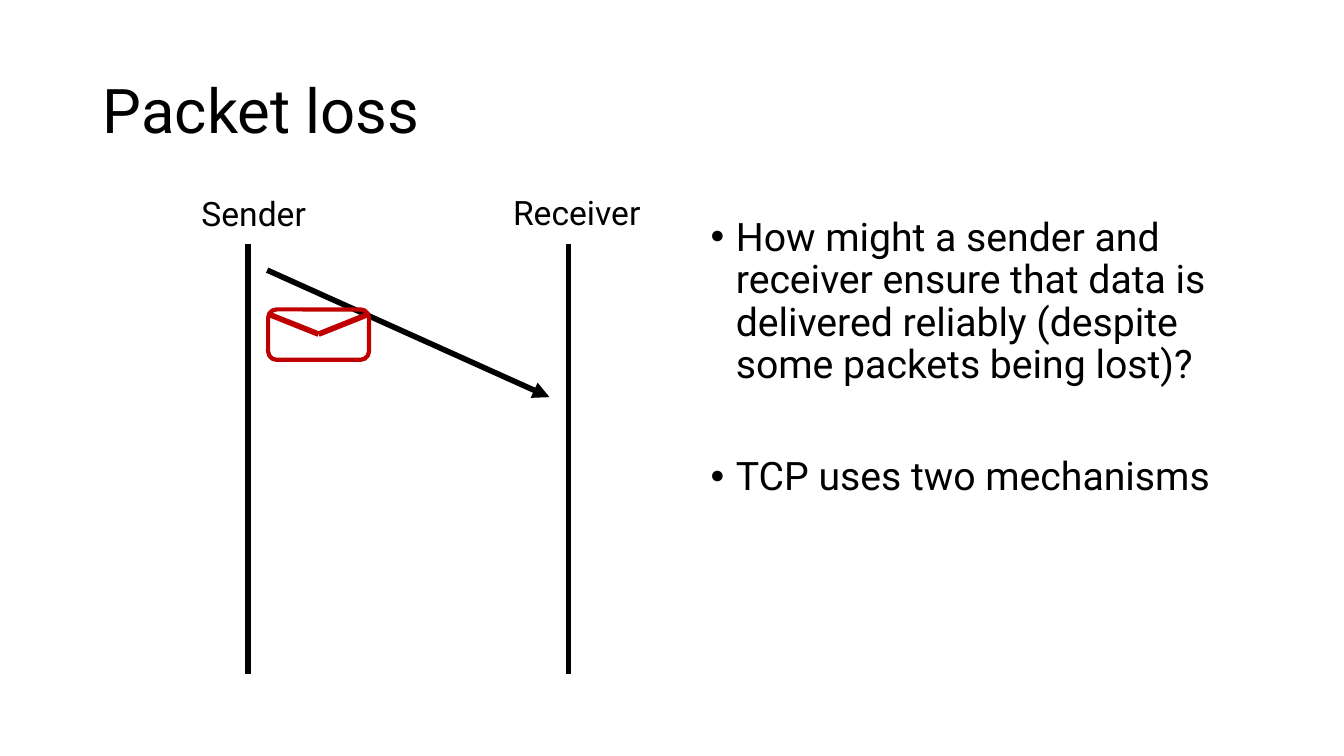
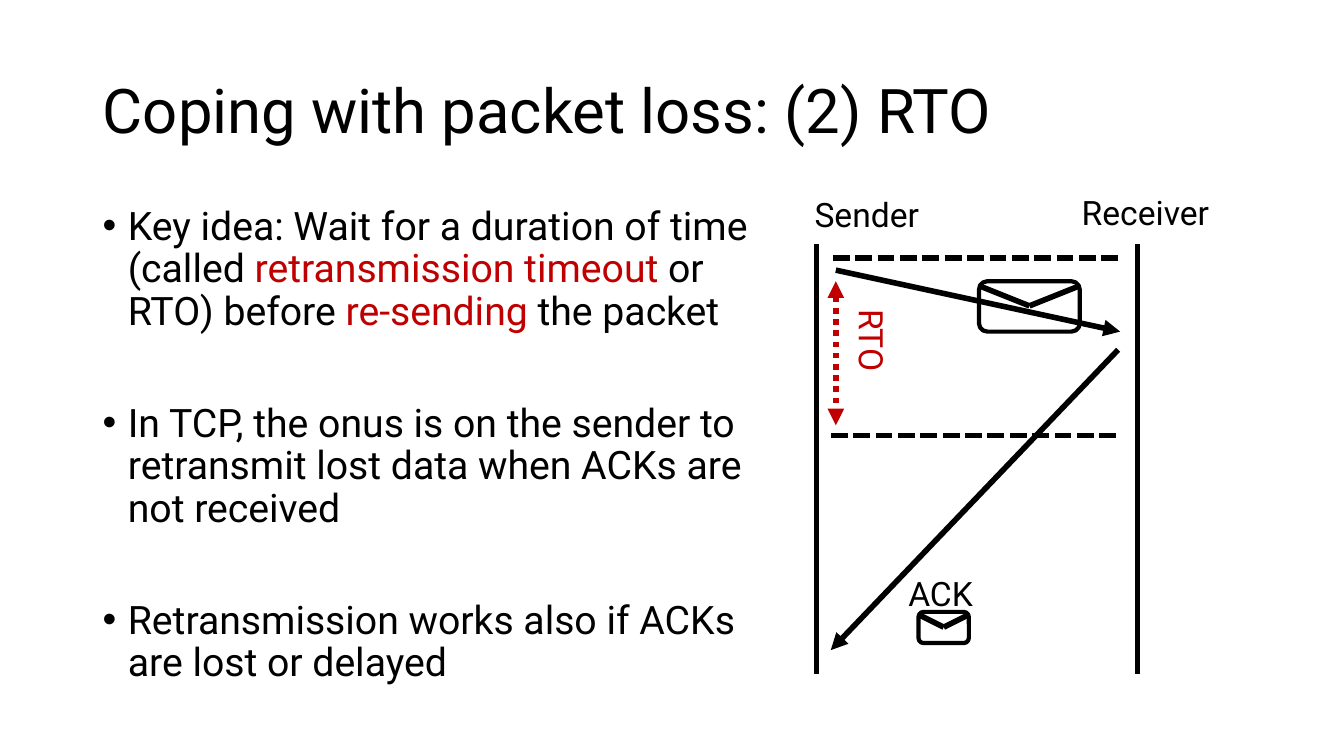
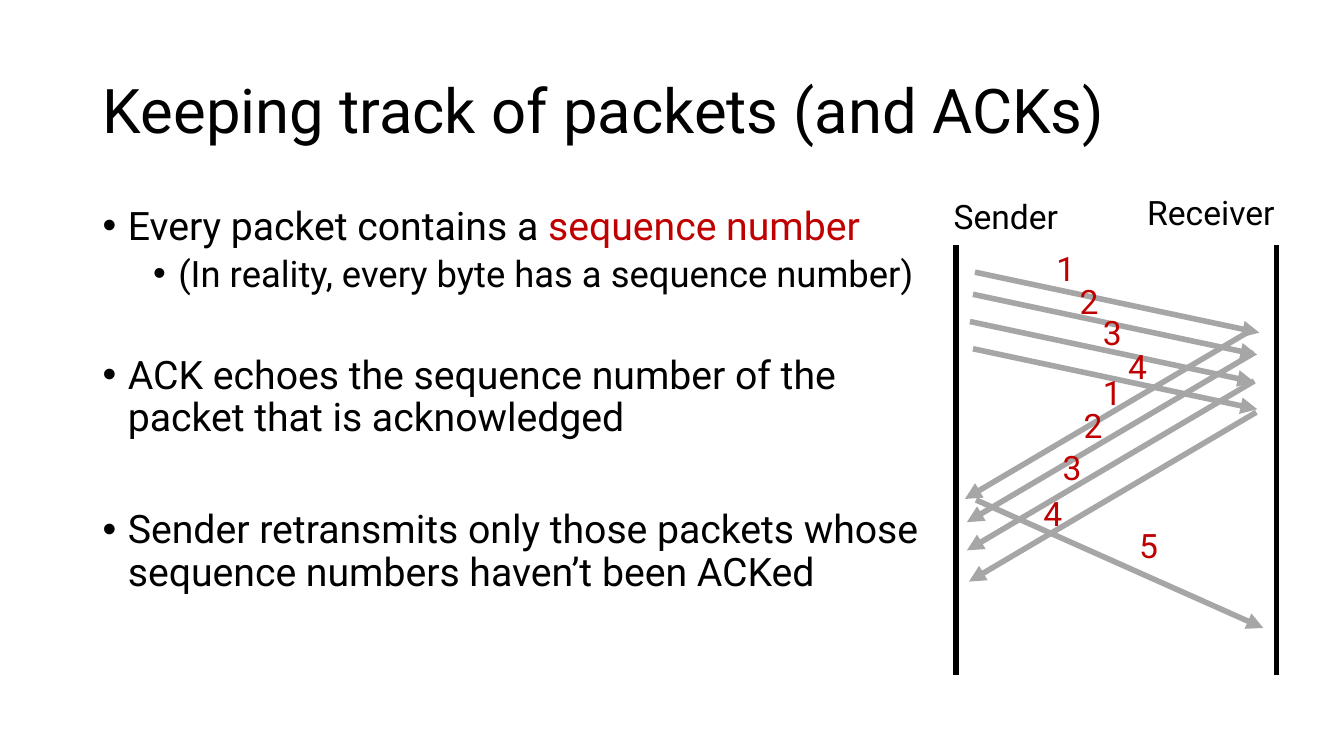
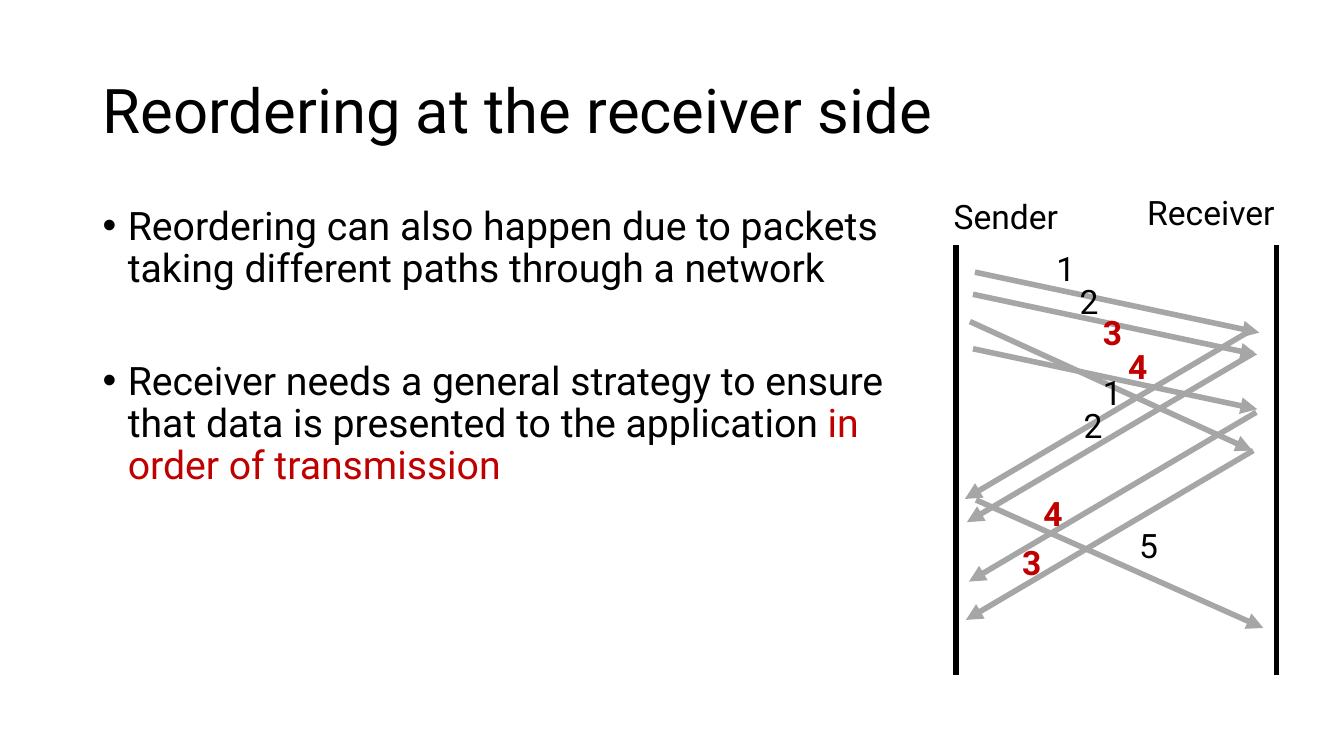
from lxml import etree
from pptx import Presentation
from pptx.dml.color import RGBColor
from pptx.enum import shapes as es, text as et
from pptx.oxml.ns import qn
from pptx.util import Inches, Pt

INK = {"black": "000000", "red": "C00000", "gray": "A6A6A6"}
FONT = "Roboto"
GAP = 50
SPAN = 3.18
SEND = (2.82, 0.6)
BACK = (-2.85, 1.68)
FRESH = ((0.2, 2.53), (2.85, 1.27))


def rgb(ink):
    """Return the named colour."""
    return RGBColor.from_string(INK[ink])


def add_run(par, words, size, ink="black", bold=False):
    """Add one formatted run to a paragraph."""
    run = par.add_run()
    run.text = words
    font = run.font
    font.name, font.size, font.bold = FONT, Pt(size), bold
    font.color.rgb = rgb(ink)


def add_title(deck, words, width=11.5):
    """Add a slide with its title and return it."""
    slide = deck.slides.add_slide(deck.slide_layouts[5])
    head = slide.shapes.title
    head.left, head.top = Inches(0.92), Inches(0.4)
    head.width, head.height = Inches(width), Inches(1.45)
    frame = head.text_frame
    frame.auto_size = et.MSO_AUTO_SIZE.NONE
    frame.vertical_anchor = et.MSO_ANCHOR.MIDDLE
    par = frame.paragraphs[0]
    par.alignment = et.PP_ALIGN.LEFT
    par.line_spacing = 0.9
    add_run(par, words, 44)
    return slide


def add_box(slide, x, y, w, h):
    """Add a wrapping text box and return it."""
    box = slide.shapes.add_textbox(Inches(x), Inches(y), Inches(w), Inches(h))
    box.text_frame.word_wrap = True
    return box


def add_label(slide, x, y, w, words, ink="black", bold=False):
    """Add a one-line label and return its box."""
    box = add_box(slide, x, y, w, 0.5)
    add_run(box.text_frame.paragraphs[0], words, 24, ink, bold)
    return box


def add_body(slide, x, y, w, h, items):
    """Add a bullet list of (level, space before, runs) items."""
    frame = add_box(slide, x, y, w, h).text_frame
    for i, (level, before, runs) in enumerate(items):
        par = frame.add_paragraph() if i else frame.paragraphs[0]
        props = par._p.get_or_add_pPr()
        props.set("marL", str(Inches(0.25 + 0.5 * level)))
        props.set("indent", str(Inches(-0.25)))
        etree.SubElement(props, qn("a:buFont"), typeface="Arial")
        etree.SubElement(props, qn("a:buChar"), char="•")
        par.level = level
        par.line_spacing = 0.9
        par.space_before = Pt(before)
        for words, ink in runs:
            add_run(par, words, 26 if level else 28, ink)


def add_line(parent, x, y, dx, dy, ink="black", dash=None, ends=()):
    """Draw a line from a point by an offset, with optional arrowheads."""
    line = parent.shapes.add_connector(
        es.MSO_CONNECTOR.STRAIGHT, Inches(x), Inches(y), Inches(x + dx), Inches(y + dy))
    line.line.width = Pt(4)
    line.line.color.rgb = rgb(ink)
    props = line._element.spPr
    stroke = props.find(qn("a:ln"))
    if dash:
        etree.SubElement(stroke, qn("a:prstDash"), val=dash)
    for end in ends:
        etree.SubElement(stroke, qn("a:" + end), type="triangle")
    etree.SubElement(props, qn("a:effectLst"))


def add_arrow(slide, x, y, dx, dy, ink="black"):
    """Draw a solid arrow."""
    add_line(slide, x, y, dx, dy, ink, ends=("tailEnd",))


def add_mail(slide, x, y, w, h, ink="black"):
    """Draw a grouped envelope."""
    group = slide.shapes.add_group_shape()
    case = group.shapes.add_shape(
        es.MSO_SHAPE.ROUNDED_RECTANGLE, Inches(x), Inches(y), Inches(w), Inches(h))
    case.shadow.inherit = False
    case.fill.background()
    case.line.width = Pt(3)
    case.line.color.rgb = rgb(ink)
    rim, fold = y + 0.09 * h, 0.4 * h
    add_line(group, x, rim, w / 2, fold, ink)
    add_line(group, x + w / 2, rim + fold, w / 2, -fold, ink)


def add_rails(slide, x, y, left, right):
    """Draw both time lines, with label offsets for sender and receiver."""
    for dx in (0, SPAN):
        add_line(slide, x + dx, y, 0, 4.27)
    add_label(slide, x + left[0], y + left[1], 1.51, "Sender")
    add_label(slide, x + SPAN + right[0], y + right[1], 1.68, "Receiver")


def add_trade(slide, x, y, flows, marks):
    """Draw rails with numbered packet and ACK arrows."""
    add_rails(slide, x, y, (-0.12, -0.54), (-1.38, -0.58))
    for (px, py), (dx, dy) in flows:
        add_arrow(slide, x + px, y + py, dx, dy, "gray")
    for px, py, words, ink, bold in marks:
        add_label(slide, x + px, y + py, 0.74, words, ink, bold)


def show_loss(deck):
    """Build the packet loss slide."""
    slide = add_title(deck, "Packet loss")
    x, y = 2.46, 2.42
    add_rails(slide, x, y, (-0.56, -0.56), (-0.65, -0.57))
    add_arrow(slide, x + 0.19, y + 0.26, 2.8, 1.26)
    add_mail(slide, x + 0.2, y + 0.65, 1, 0.5, "red")
    add_body(slide, 6.95, 2.11, 5.75, 4.7, [
        (0, 0, [("How might a sender and receiver ensure that data is delivered "
                 "reliably (despite some packets being lost)?", "black")]),
        (0, GAP, [("TCP uses two mechanisms", "black")])])


def show_wait(deck):
    """Build the retransmission timeout slide."""
    slide = add_title(deck, "Coping with packet loss: (2) RTO", 12.14)
    add_body(slide, 0.92, 2, 7.04, 5.1, [
        (0, 0, [("Key idea: Wait for a duration of time (called ", "black"),
                ("retransmission timeout ", "red"), ("or RTO) before ", "black"),
                ("re-sending ", "red"), ("the packet", "black")]),
        (0, GAP, [("In TCP, the onus is on the sender to retransmit lost data "
                   "when ACKs are not received", "black")]),
        (0, GAP, [("Retransmission works also if ACKs are lost or delayed", "black")])])
    x, y = 8.1, 2.42
    add_rails(slide, x, y, (-0.12, -0.55), (-0.65, -0.57))
    add_arrow(slide, x + 0.19, y + 0.26, 2.82, 0.61)
    add_mail(slide, x + 1.61, y + 0.37, 1, 0.5)
    add_arrow(slide, x + 2.99, y + 1.05, -2.85, 2.98)
    add_mail(slide, x + 1.01, y + 3.65, 0.5, 0.31)
    add_label(slide, x + 0.81, y + 3.21, 0.89, "ACK")
    for px, py in ((0.14, 1.9), (0.16, 0.14)):
        add_line(slide, x + px, y + py, 2.85, 0, dash="sysDash")
    add_line(slide, x + 0.19, y + 0.37, 0, 1.43, "red", "sysDot", ("headEnd", "tailEnd"))
    add_label(slide, x, y + 0.85, 1.1, "RTO", "red").rotation = 90


def show_track(deck, starts, acks, spots):
    """Build the sequence number slide."""
    slide = add_title(deck, "Keeping track of packets (and ACKs)")
    add_body(slide, 0.92, 2, 8.3, 5.29, [
        (0, 0, [("Every packet contains a ", "black"), ("sequence number", "red")]),
        (1, 5, [("(In reality, every byte has a sequence number)", "black")]),
        (0, 43, [("ACK echoes the sequence number of the packet that is "
                  "acknowledged", "black")]),
        (0, GAP, [("Sender retransmits only those packets whose sequence numbers "
                   "haven’t been ACKed", "black")])])
    flows = [(at, SEND) for at in starts] + [(at, BACK) for at in acks] + [FRESH]
    add_trade(slide, 9.48, 2.43, flows, [(*spot, "red", False) for spot in spots])


def show_order(deck, starts, acks, spots):
    """Build the reordering slide, where packet 3 arrives late."""
    slide = add_title(deck, "Reordering at the receiver side")
    add_body(slide, 0.92, 2, 8.33, 4.76, [
        (0, 0, [("Reordering can also happen due to packets taking different "
                 "paths through a network", "black")]),
        (0, GAP, [("Receiver needs a general strategy to ensure that data is "
                   "presented to the application ", "black"),
                  ("in order of transmission", "red")])])
    late = (2.8, 1.28)
    flows = [(at, late if i == 2 else SEND) for i, at in enumerate(starts)]
    flows += [(at, BACK) for at in (*acks[:2], acks[3], (2.95, 2.04))] + [FRESH]
    moved = [*spots[:6], *spots[7:], (0.56, 2.9, "3")]
    marks = [(*spot, "red", True) if spot[2] in "34" else (*spot, "black", False)
             for spot in moved]
    add_trade(slide, 9.48, 2.43, flows, marks)


def main():
    """Build and save the deck."""
    deck = Presentation()
    deck.slide_width, deck.slide_height = Inches(13.33), Inches(7.5)
    starts = [(0.19, 0.27), (0.17, 0.49), (0.14, 0.76), (0.17, 1.03)]
    acks = [(2.94, 0.84), (2.96, 1.07), (2.96, 1.35), (2.98, 1.66)]
    spots = [(0.9, -0.02, "1"), (1.13, 0.31, "2"), (1.36, 0.62, "3"),
             (1.61, 0.95, "4"), (1.36, 1.21, "1"), (1.17, 1.54, "2"),
             (0.96, 1.95, "3"), (0.77, 2.41, "4"), (1.72, 2.73, "5")]
    show_loss(deck)
    show_wait(deck)
    show_track(deck, starts, acks, spots)
    show_order(deck, starts, acks, spots)
    deck.save("out.pptx")


if __name__ == "__main__":
    main()
